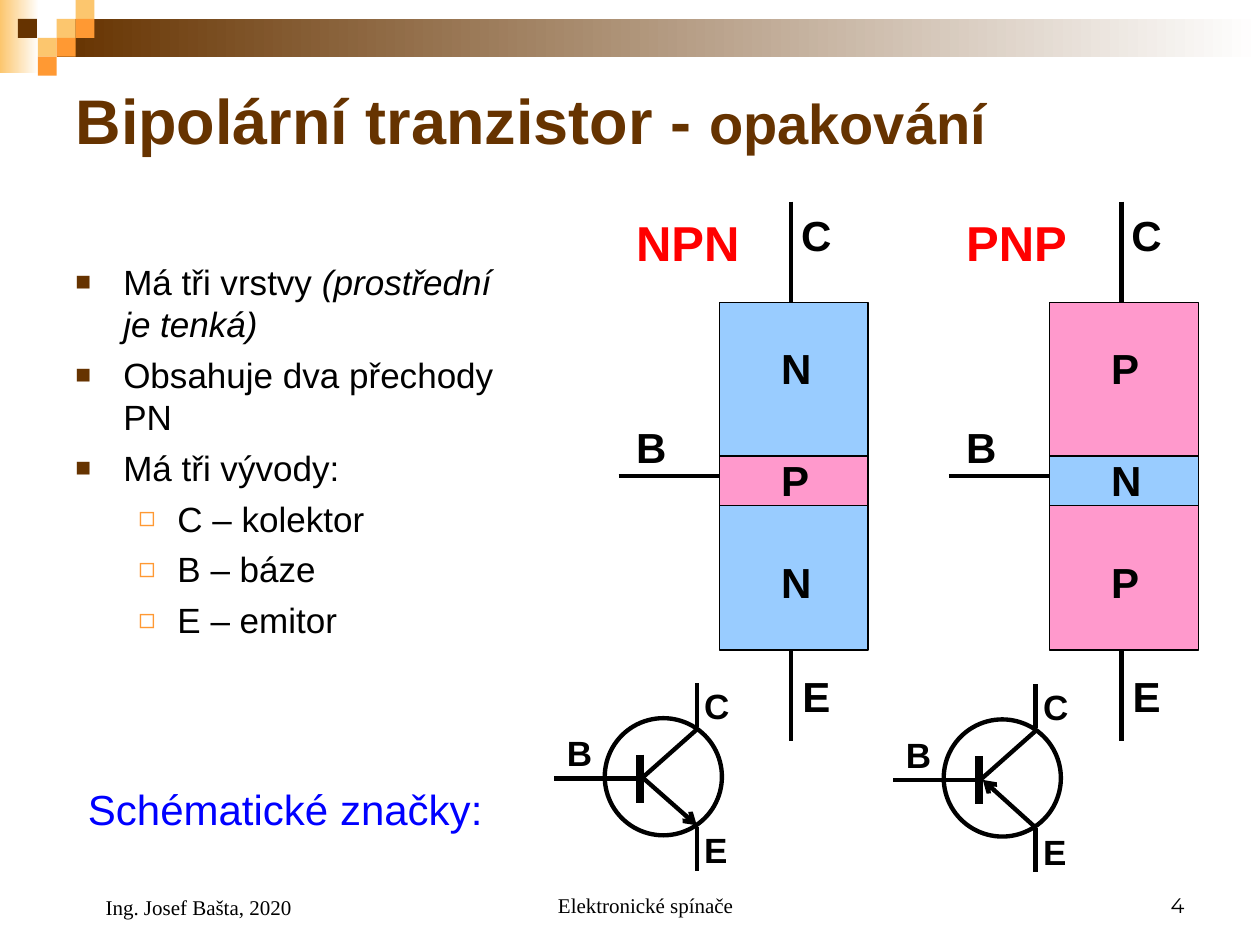
from lxml.etree import SubElement
from pptx import Presentation
from pptx.dml.color import RGBColor
from pptx.enum.shapes import MSO_CONNECTOR, MSO_SHAPE
from pptx.enum.text import MSO_ANCHOR, PP_ALIGN
from pptx.oxml.ns import qn
from pptx.util import Inches, Pt

BLACK = RGBColor(0x00, 0x00, 0x00)
WHITE = RGBColor(0xFF, 0xFF, 0xFF)
BROWN = RGBColor(0x66, 0x33, 0x00)
ORANGE = RGBColor(0xFF, 0x99, 0x33)
SAND = RGBColor(0xFC, 0xC6, 0x6E)
RED = RGBColor(0xFF, 0x00, 0x00)
BLUE = RGBColor(0x00, 0x00, 0xFF)
N_BLUE = RGBColor(0x99, 0xCC, 0xFF)
P_PINK = RGBColor(0xFF, 0x99, 0xCC)
LAYER_COLORS = {"N": N_BLUE, "P": P_PINK}

WIDTH, HEIGHT = 10, 7.5
TILE = 0.15  # side of one square in the corner ornament
LEFT = WIDTH * 0.05
FOOTER_TOP = 6.83


def add_span(para, text, size=20, color=BLACK, name="Arial", bold=False, italic=False):
    span = para.add_run()
    span.text = text
    font = span.font
    font.size, font.name, font.bold, font.italic = Pt(size), name, bold, italic
    font.color.rgb = color


def add_text(shapes, text, left, top, width, height, align=PP_ALIGN.LEFT,
             anchor=MSO_ANCHOR.TOP, indent=0, **style):
    box = shapes.add_textbox(Inches(left), Inches(top), Inches(width), Inches(height))
    frame = box.text_frame
    frame.word_wrap = True
    frame.vertical_anchor = anchor
    para = frame.paragraphs[0]
    para.alignment = align
    if indent:
        para._p.get_or_add_pPr().set("marL", str(Inches(indent)))
    add_span(para, text, **style)


def add_block(shapes, left, top, width, height, fill=None, line=None,
              kind=MSO_SHAPE.RECTANGLE):
    """Preset shape; a pair of colours as fill makes a left-to-right gradient."""
    block = shapes.add_shape(kind, Inches(left), Inches(top), Inches(width), Inches(height))
    block.shadow.inherit = False
    if fill is None:
        block.fill.background()
    elif isinstance(fill, tuple) and not isinstance(fill, RGBColor):
        block.fill.gradient()
        block.fill.gradient_angle = 0
        for stop, color in zip(block.fill.gradient_stops, fill):
            stop.color.rgb = color
    else:
        block.fill.solid()
        block.fill.fore_color.rgb = fill
    if line is None:
        block.line.fill.background()
    else:
        block.line.color.rgb = BLACK
        block.line.width = Pt(line)


def add_wire(shapes, x1, y1, x2, y2, weight=2.5, arrow=False):
    wire = shapes.add_connector(MSO_CONNECTOR.STRAIGHT, Inches(x1), Inches(y1),
                                Inches(x2), Inches(y2))
    wire.line.color.rgb = BLACK
    wire.line.width = Pt(weight)
    if arrow:
        SubElement(wire.line._get_or_add_ln(), qn("a:tailEnd"), type="arrow")
    SubElement(wire._element.spPr, qn("a:effectLst"))


def add_bullet(para, char, color, percent, margin, hanging):
    properties = para._p.get_or_add_pPr()
    properties.set("marL", str(Inches(margin)))
    properties.set("indent", str(-Inches(hanging)))
    bullet_color = SubElement(properties, qn("a:buClr"))
    SubElement(bullet_color, qn("a:srgbClr"), val=str(color))
    SubElement(properties, qn("a:buSzPct"), val=str(percent * 1000))
    SubElement(properties, qn("a:buFont"), typeface="Arial")
    SubElement(properties, qn("a:buChar"), char=char)


def add_ornament(shapes):
    add_block(shapes, 0, 0, 0.31, 0.58, (SAND, WHITE))
    add_block(shapes, 3 * TILE, TILE, WIDTH - 3 * TILE, 2 * TILE, (BROWN, WHITE))
    tiles = [(3, 1, SAND), (4, 0, SAND), (4, 1, ORANGE), (2, 2, SAND),
             (0.95, 1, BROWN), (3, 2, ORANGE), (2, 3, ORANGE)]
    for column, row, color in tiles:
        add_block(shapes, column * TILE, row * TILE, TILE, TILE, color)


def add_title(page):
    title = page.shapes.title
    title.left, title.top = Inches(LEFT), Inches(0.5)
    title.width, title.height = Inches(WIDTH * 0.9), Inches(0.9)
    title.text_frame.vertical_anchor = MSO_ANCHOR.MIDDLE
    para = title.text_frame.paragraphs[0]
    para.alignment = PP_ALIGN.LEFT
    add_span(para, "Bipolární tranzistor - ", size=36, color=BROWN, bold=True)
    add_span(para, "opakování", size=32, color=BROWN, bold=True)


def add_properties_list(page):
    items = [(0, "Má tři vrstvy ", "(prostřední je tenká)"),
             (0, "Obsahuje dva přechody PN", ""), (0, "Má tři vývody:", ""),
             (1, "C – kolektor", ""), (1, "B – báze", ""), (1, "E – emitor", "")]
    bullets = [("■", BROWN, 75, 0.38, 0.38), ("◻", ORANGE, 80, 0.81, 0.31)]
    box = page.shapes.add_textbox(Inches(LEFT), Inches(2.02), Inches(3.58), Inches(4.15))
    frame = box.text_frame
    frame.word_wrap = True
    for index, (level, text, remark) in enumerate(items):
        para = frame.add_paragraph() if index else frame.paragraphs[0]
        para.level = level
        para.space_before = Pt(5 if index else 0)
        add_bullet(para, *bullets[level])
        add_span(para, text)
        if remark:
            add_span(para, remark, italic=True)


def add_layer_model(page, left, layers):
    """Stack of three layers with its leads; left is the end of the base lead."""
    shapes = page.shapes.add_group_shape().shapes
    outer, inner, _ = layers
    stack = left + 0.8
    add_wire(shapes, left, 3.78, left + 1, 3.78)
    add_wire(shapes, left + 1.37, 1.6, left + 1.37, 5.88)
    add_block(shapes, stack, 2.4, 1.18, 2.76, LAYER_COLORS[outer], line=0.75)
    add_block(shapes, stack, 3.62, 1.18, 0.39, LAYER_COLORS[inner], line=0.75)
    labels = [*zip(layers, (1.19,) * 3, (2.67, 3.56, 4.37)),
              ("E", 1.36, 5.27), ("C", 1.35, 1.61), ("B", 0.04, 3.3)]
    for text, shift, top in labels:
        add_text(shapes, text, left + shift, top, 0.48, 0.5, size=24, bold=True)
    add_text(page.shapes, layers, left + 0.04, 1.64, 1.05, 0.57,
             size=28, color=RED, bold=True)


def add_symbol(page, left, top, emitter):
    """Circuit symbol; emitter holds the arrow's two ends from the corner."""
    shapes = page.shapes.add_group_shape().shapes
    add_block(shapes, left + 0.4, top + 0.28, 0.93, 0.93, line=2.5, kind=MSO_SHAPE.OVAL)
    wires = [(0.68, 0.57, 0.68, 0.95, 5), (0.69, 0.76, 1.13, 0.37),
             (0.67, 0.76, 0, 0.76), (1.13, 0.35, 1.13, 0), (1.13, 1.49, 1.13, 1.14)]
    for x1, y1, x2, y2, *weight in wires:
        add_wire(shapes, left + x1, top + y1, left + x2, top + y2, *weight)
    (x1, y1), (x2, y2) = emitter
    add_wire(shapes, left + x1, top + y1, left + x2, top + y2, arrow=True)
    for text, shift, drop in [("C", 1.09, -0.04), ("B", 0, 0.34), ("E", 1.09, 1.11)]:
        add_text(shapes, text, left + shift, top + drop, 0.45, 0.44, bold=True)


def add_footer(page):
    style = dict(anchor=MSO_ANCHOR.BOTTOM, size=12)
    add_text(page.shapes, "Elektronické spínače", 3.42, FOOTER_TOP, 3.17, 0.5,
             align=PP_ALIGN.CENTER, indent=0.24, name="Times New Roman", **style)
    add_text(page.shapes, "4", 7.17, FOOTER_TOP, 2.33, 0.5,
             align=PP_ALIGN.RIGHT, name="Montserrat", **style)
    add_text(page.shapes, "Ing. Josef Bašta, 2020", LEFT, FOOTER_TOP, 2.33, 0.52,
             indent=0.24, name="Times New Roman", **style)


def main():
    deck = Presentation()
    deck.slide_width, deck.slide_height = Inches(WIDTH), Inches(HEIGHT)
    page = deck.slides.add_slide(deck.slide_layouts[5])
    add_ornament(page.shapes)
    add_title(page)
    add_properties_list(page)
    add_layer_model(page, 4.91, "NPN")
    add_layer_model(page, 7.53, "PNP")
    add_symbol(page, 4.4, 5.42, [(0.71, 0.76), (1.13, 1.13)])
    add_symbol(page, 7.09, 5.43, [(1.12, 1.13), (0.71, 0.76)])
    add_text(page.shapes, "Schématické značky:", 0.6, 6.17, 3.33, 0.5, size=24, color=BLUE)
    add_footer(page)
    deck.save("out.pptx")


if __name__ == "__main__":
    main()
